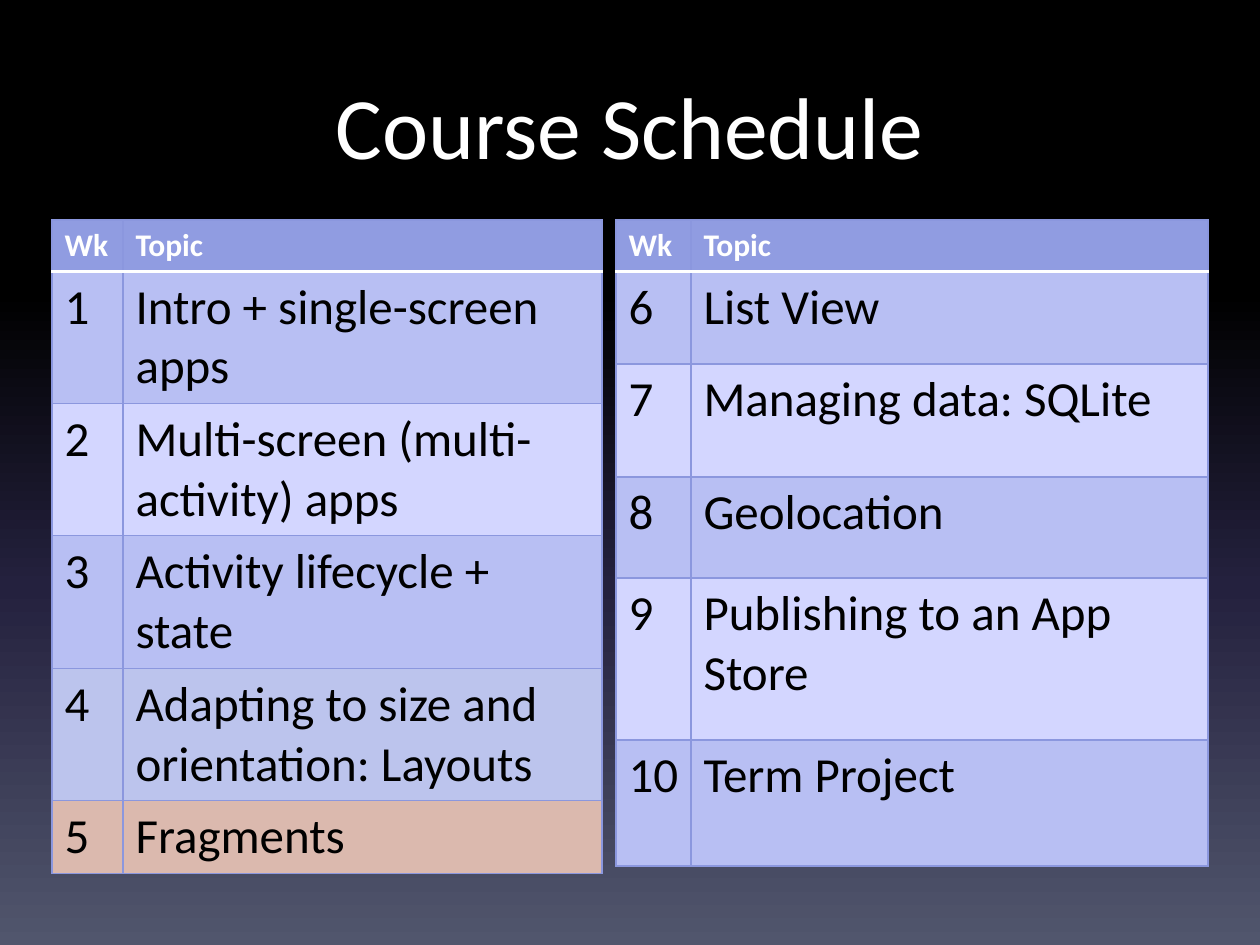
from lxml.etree import SubElement
from pptx import Presentation
from pptx.dml.color import RGBColor
from pptx.enum.text import MSO_ANCHOR, PP_ALIGN
from pptx.oxml.ns import qn
from pptx.util import Pt

PX = 914400 / 126
HEADER, BAND, PLAIN = "909CE1", "B8BFF3", "D3D6FF"
ADAPTING, CURRENT = "BCC4ED", "DBB9AE"
GRID = ("8B97DE", 0.75)
HEADER_RULE = ("FFFFFF", 2)


def px(n):
    return round(n * PX)


def set_border(cell, side, color, width):
    ln = SubElement(cell._tc.get_or_add_tcPr(), qn(f"a:ln{side}"), w=str(Pt(width)))
    fill = SubElement(ln, qn("a:solidFill"))
    SubElement(fill, qn("a:srgbClr"), val=color)


prs = Presentation()
prs.slide_width, prs.slide_height = px(1260), px(945)
s = prs.slides.add_slide(prs.slide_layouts[5])

# Background
bg = s.background.fill
bg.gradient()
bg.gradient_angle = 270
stops = s.element.xpath(".//a:gsLst")[0]
for stop in list(stops):
    stops.remove(stop)
for pos, color in [(0, "000000"), (31, "000000"), (62, "24213E"), (100, "51566D")]:
    gs = SubElement(stops, qn("a:gs"), pos=str(pos * 1000))
    SubElement(gs, qn("a:srgbClr"), val=color)

# Title
title = s.shapes.title
title.left, title.top, title.width, title.height = px(63), px(63), px(1134), px(157)
tf = title.text_frame
tf.text = "Course Schedule"
tf.vertical_anchor = MSO_ANCHOR.TOP
tf.margin_top = px(9)
p = tf.paragraphs[0]
p.alignment = PP_ALIGN.CENTER
p.font.name, p.font.size = "Calibri", Pt(50)
p.font.color.rgb = RGBColor.from_string("FFFFFF")

# Schedule tables: left edge, column widths, then (height, fill, topic) per week
schedules = [
    (52, (71, 479), 1, [
        (132, BAND, "Intro + single-screen apps"),
        (132, PLAIN, "Multi-screen (multi-activity) apps"),
        (132, BAND, "Activity lifecycle + state"),
        (132, ADAPTING, "Adapting to size and orientation: Layouts"),
        (73, CURRENT, "Fragments"),
    ]),
    (616, (75, 517), 6, [
        (93, BAND, "List View"),
        (113, PLAIN, "Managing data: SQLite"),
        (101, BAND, "Geolocation"),
        (162, PLAIN, "Publishing to an App Store"),
        (126, BAND, "Term Project"),
    ]),
]
header_font = {"name": "Calibri", "size": Pt(18), "bold": True}
body_font = {"name": "Calibri", "size": Pt(28), "bold": False}

for left, widths, first_week, weeks in schedules:
    rows = [(51, HEADER, "Wk", "Topic")]
    rows += [(h, fill, str(wk), topic)
             for wk, (h, fill, topic) in enumerate(weeks, first_week)]
    height = sum(row[0] for row in rows)
    table = s.shapes.add_table(len(rows), 2, px(left), px(220),
                               px(sum(widths)), px(height)).table
    table.first_row = table.horz_banding = False
    for column, width in zip(table.columns, widths):
        column.width = px(width)

    for r, (h, fill, *texts) in enumerate(rows):
        table.rows[r].height = px(h)
        for c, text in enumerate(texts):
            cell = table.cell(r, c)
            for side in "LRTB":
                under_header = (r, side) in [(0, "B"), (1, "T")]
                set_border(cell, side, *(HEADER_RULE if under_header else GRID))
            cell.fill.solid()
            cell.fill.fore_color.rgb = RGBColor.from_string(fill)
            cell.text = text
            font = cell.text_frame.paragraphs[0].runs[0].font
            for name, value in (body_font if r else header_font).items():
                setattr(font, name, value)
            font.color.rgb = RGBColor.from_string("000000" if r else "FFFFFF")

prs.save("out.pptx")
